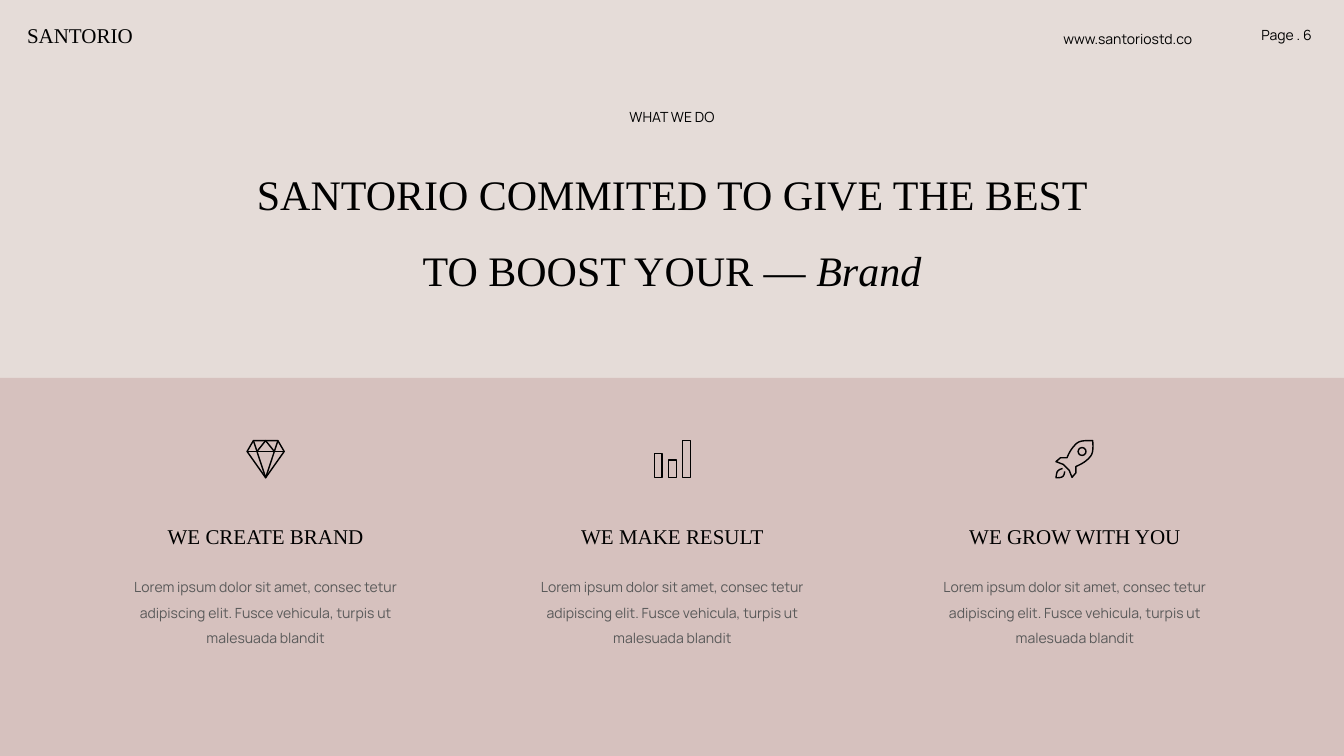
from lxml import etree
from pptx import Presentation
from pptx.dml.color import RGBColor
from pptx.enum.shapes import MSO_CONNECTOR, MSO_SHAPE
from pptx.enum.text import MSO_ANCHOR, MSO_AUTO_SIZE, PP_ALIGN
from pptx.oxml.ns import qn
from pptx.util import Pt

SERIF, SANS = "Times New Roman", "Manrope"
BLACK, GREY, CREAM, ROSE = "000000", "595959", "E5DCD8", "D6C1BE"
STROKE = 2
ICON_TOP = 628.5
BODY = ("Lorem ipsum dolor sit amet, consec tetur adipiscing elit. "
        "Fusce vehicula, turpis ut malesuada blandit")


def color(value):
    return RGBColor.from_string(value)


def format_paragraph(paragraph, font, size, text_color, align, spacing):
    paragraph.alignment = align
    paragraph.line_spacing = spacing
    paragraph.font.name = font
    paragraph.font.size = Pt(size)
    paragraph.font.color.rgb = color(text_color)


def add_text(slide, text, left, top, width, height, font=SANS, size=20,
             text_color=BLACK, align=PP_ALIGN.CENTER, spacing=1.5,
             anchor=MSO_ANCHOR.TOP):
    box = slide.shapes.add_textbox(Pt(left), Pt(top), Pt(width), Pt(height))
    frame = box.text_frame
    frame.word_wrap = True
    frame.vertical_anchor = anchor
    frame.text = text
    format_paragraph(frame.paragraphs[0], font, size, text_color, align, spacing)


def add_title(slide):
    title = slide.shapes.title
    title.left, title.top = Pt(326.5), Pt(201)
    title.width, title.height = Pt(1267), Pt(215)
    frame = title.text_frame
    frame.word_wrap = True
    frame.auto_size = MSO_AUTO_SIZE.NONE
    frame.vertical_anchor = MSO_ANCHOR.TOP
    paragraph = frame.paragraphs[0]
    paragraph.add_run().text = "SANTORIO COMMITED TO GIVE THE BEST TO BOOST YOUR — "
    brand = paragraph.add_run()
    brand.text = "Brand"
    brand.font.italic = True
    format_paragraph(paragraph, SERIF, 60, BLACK, PP_ALIGN.CENTER, 1.5)


def add_band(slide, top, width, height):
    band = slide.shapes.add_shape(MSO_SHAPE.RECTANGLE, 0, Pt(top), Pt(width), Pt(height))
    band.shadow.inherit = False
    band.fill.solid()
    band.fill.fore_color.rgb = color(ROSE)
    band.line.fill.background()


def style_line(line):
    """Black stroke with round joins."""
    line.color.rgb = color(BLACK)
    line.width = Pt(STROKE)
    etree.SubElement(line._get_or_add_ln(), qn("a:round"))


def style_outline(shape):
    shape.shadow.inherit = False
    shape.fill.background()
    style_line(shape.line)


def add_outline(group, left, points, close=False):
    """Freeform through points given from the icon's top left corner."""
    placed = [(Pt(left + x), Pt(ICON_TOP + y)) for x, y in points]
    builder = group.shapes.build_freeform(*placed[0])
    builder.add_line_segments(placed[1:], close=close)
    style_outline(builder.convert_to_shape())


def add_preset(group, kind, left, x, y, width, height):
    style_outline(group.shapes.add_shape(
        kind, Pt(left + x), Pt(ICON_TOP + y), Pt(width), Pt(height)))


def add_level_line(group, left, x1, x2, y):
    line = group.shapes.add_connector(
        MSO_CONNECTOR.STRAIGHT, Pt(left + x1), Pt(ICON_TOP + y),
        Pt(left + x2), Pt(ICON_TOP + y))
    style_line(line.line)
    etree.SubElement(line._element.spPr, qn("a:effectLst"))


def curve(start, control1, control2, end, steps=10):
    """Points along a cubic Bezier curve, both ends included."""
    points = []
    for step in range(steps + 1):
        t = step / steps
        weights = ((1 - t) ** 3, 3 * t * (1 - t) ** 2, 3 * t * t * (1 - t), t ** 3)
        points.append(tuple(
            sum(weight * value for weight, value in zip(weights, axis))
            for axis in zip(start, control1, control2, end)))
    return points


def draw_diamond(group, center):
    left = center - 27.5
    add_outline(group, left, [(1, 16.5), (10, 1), (45, 1), (54, 16.5), (27.5, 54)], True)
    add_level_line(group, left, 1, 54, 16.5)
    add_outline(group, left, [(10, 1), (27.5, 54), (45, 1)])
    add_outline(group, left, [(15, 16.5), (27.5, 1), (40, 16.5)])


def draw_bars(group, center):
    bottom, pitch = 54, 20.2
    for index, top in enumerate((19, 28.4, 1)):
        add_preset(group, MSO_SHAPE.RECTANGLE, center - 26.5,
                   1 + index * pitch, top, 11, bottom - top)


def draw_rocket(group, center):
    left = center - 28
    hull = [(24, 53.5), (20, 43.5), (11.5, 35), (1, 31), (7.5, 25.5)]
    hull += curve((16.8, 25.5), (20, 18), (23, 12), (30.5, 5))
    hull += curve((30.5, 5), (34, 2), (39, 1), (47, 1))[1:]
    hull += curve((53.5, 1), (54, 8), (55, 19), (49.5, 24.5))
    hull += curve((49.5, 24.5), (43, 32), (36, 35), (29.5, 38))[1:]
    add_outline(group, left, hull + [(29.5, 47)], True)
    flame = curve((10.5, 41), (9, 41), (5, 42.5), (3.5, 44.5))
    flame += curve((3.5, 44.5), (2, 46), (1.5, 51), (1, 54))[1:]
    flame += curve((1, 54), (4, 54), (9, 54), (11, 52))[1:]
    flame += curve((11, 52), (12.5, 50.5), (13, 48), (13.5, 45))[1:]
    add_outline(group, left, flame)
    add_preset(group, MSO_SHAPE.OVAL, left, 32.7, 10.9, 11.2, 11.2)


def add_service(slide, center, heading, draw_icon):
    draw_icon(slide.shapes.add_group_shape(), center)
    add_text(slide, heading, center - 174, 745, 348, 44, SERIF, 30, spacing=1)
    add_text(slide, BODY, center - 208, 811.5, 416, 129, text_color=GREY)


def main():
    presentation = Presentation()
    presentation.slide_width, presentation.slide_height = Pt(1920), Pt(1080)
    slide = presentation.slides.add_slide(presentation.slide_layouts[5])
    slide.background.fill.solid()
    slide.background.fill.fore_color.rgb = color(CREAM)

    add_band(slide, 540, 1920, 540)
    add_text(slide, "SANTORIO", 31.5, 29, 284, 44, SERIF, 30,
             align=PP_ALIGN.LEFT, spacing=1)
    add_text(slide, "www.santoriostd.co", 1512, 30, 284, 40,
             align=PP_ALIGN.LEFT, anchor=MSO_ANCHOR.MIDDLE)
    add_text(slide, "Page . 6", 1741, 30, 140, 40, align=PP_ALIGN.RIGHT,
             spacing=1, anchor=MSO_ANCHOR.MIDDLE)
    add_text(slide, "WHAT WE DO", 818, 139.5, 284, 40)
    add_title(slide)

    for center, heading, draw_icon in (
            (379.5, "WE CREATE BRAND", draw_diamond),
            (960.5, "WE MAKE RESULT", draw_bars),
            (1535.5, "WE GROW WITH YOU", draw_rocket)):
        add_service(slide, center, heading, draw_icon)

    presentation.save("out.pptx")


if __name__ == "__main__":
    main()
